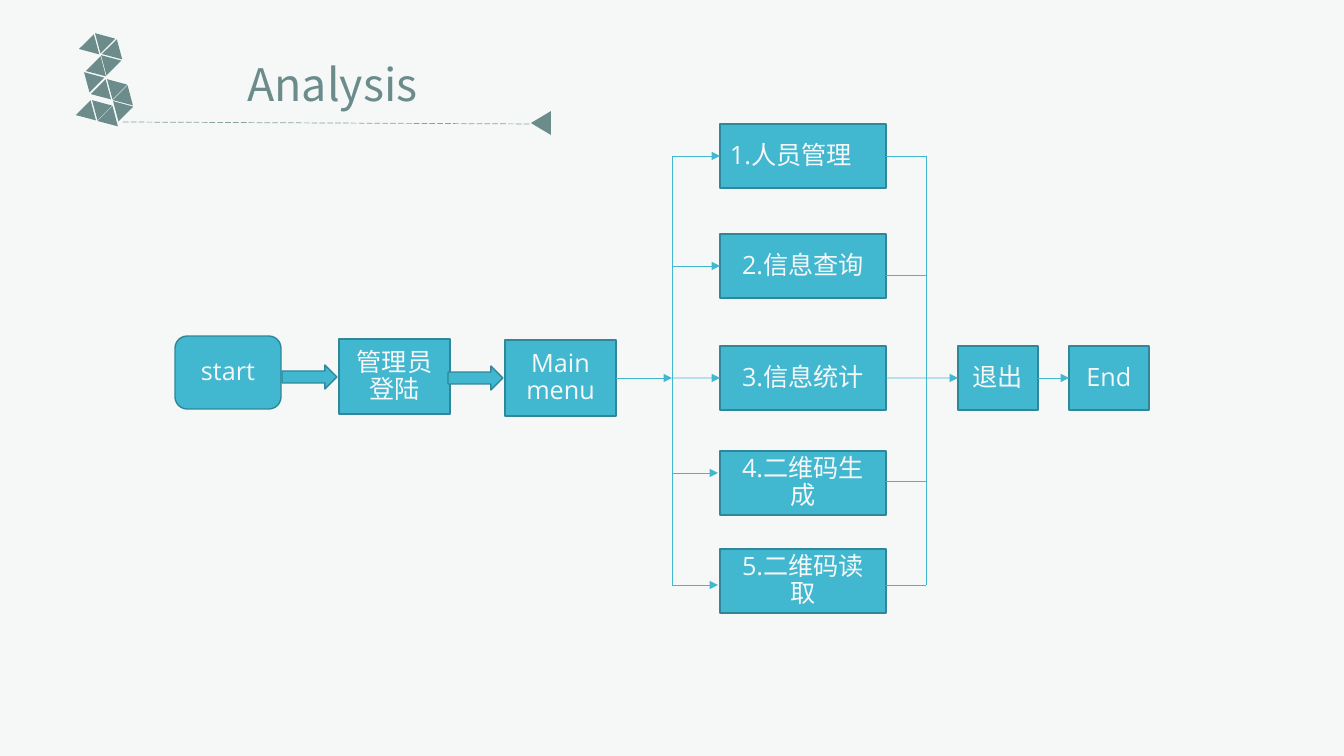
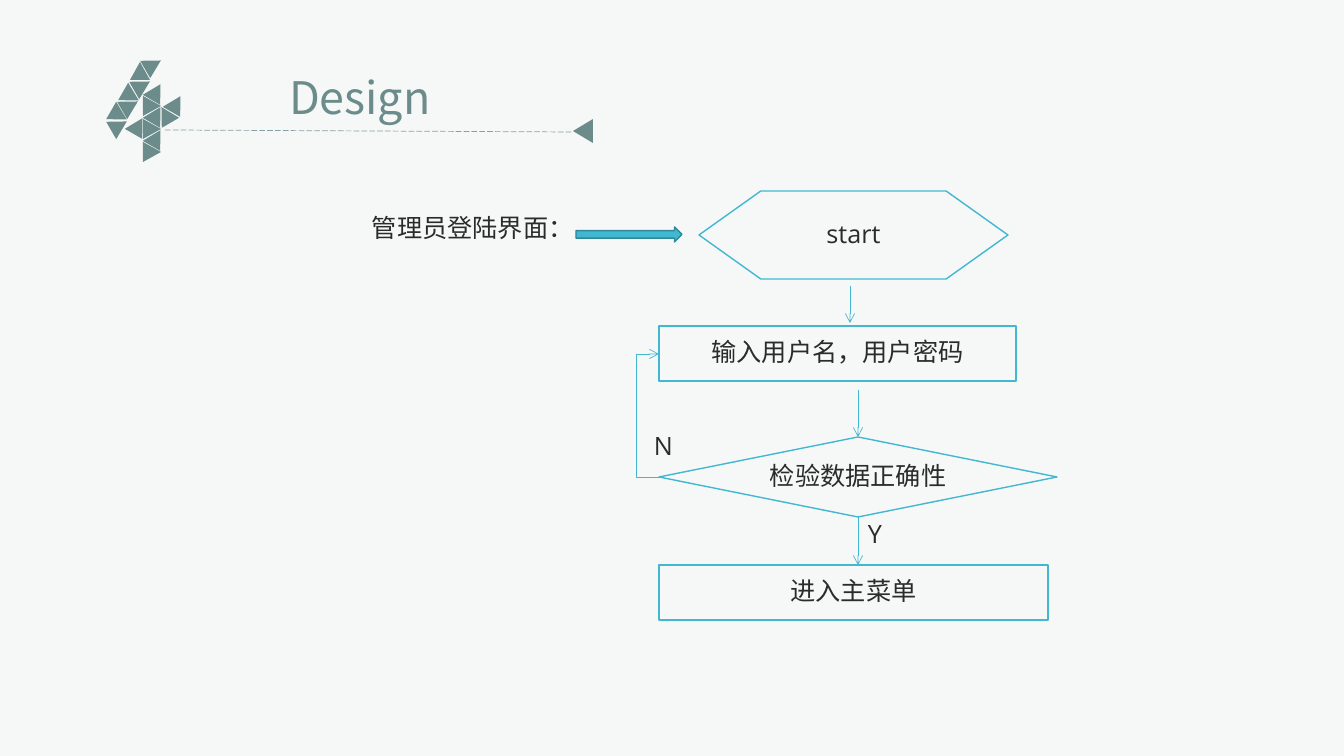
from dataclasses import dataclass

from lxml import etree
from pptx import Presentation
from pptx import util as u
from pptx.dml.color import RGBColor
from pptx.enum import dml, shapes, text
from pptx.oxml import ns

SLIDE_W, SLIDE_H = 1344, 756
SCALE = 12192000 / SLIDE_W
TITLE_ONLY = 5
TOP, LEFT, BOTTOM, RIGHT = range(4)
SHAPE = shapes.MSO_SHAPE
ALIGN = text.PP_ALIGN


@dataclass(frozen=True)
class Theme:
    """Colours, fonts and type sizes of the deck."""
    paper: str = "F6F8F8"
    teal: str = "41B7D0"
    teal_dark: str = "30879A"
    sage: str = "6C8B8B"
    ink: str = "2B2B2B"
    body_font: str = "Open Sans"
    title_font: str = "Noto Sans CJK SC"
    title_size: int = 32
    body_size: int = 18
    spacing: float = 0.9
    border: float = 1
    hairline: float = 0.5


THEME = Theme()

THREE = [
    (81, 34, 15), (96, 32, 75), (104, 39, 15), (102, 54, 75), (89, 61, 135),
    (85, 71, 75), (114, 100, 75), (94, 84, 135), (108, 78, 75),
    (116, 90, 135), (101, 111, 135), (93, 99, 75), (79, 105, 135),
]
FOUR = [
    (130, 62, 0), (132, 77, 60), (121, 87, 120), (120, 97, 60),
    (109, 106, 120), (109, 117, 60), (143, 56, 60), (146, 83, 30),
    (142, 97, 90), (146, 106, 30), (142, 120, 90), (146, 129, 30),
    (142, 143, 90), (166, 95, 30), (156, 106, 330), (128, 117, 30),
]
MODULES = [
    ("1.人员管理", 124, 156, 156, ALIGN.LEFT),
    ("2.信息查询", 234, 266, 275, ALIGN.CENTER),
    ("3.信息统计", 346, 378, 378, ALIGN.CENTER),
    ("4.二维码生成", 451, 473, 481, ALIGN.CENTER),
    ("5.二维码读取", 549, 585, 585, ALIGN.CENTER),
]


def px(*lengths):
    """Turn pixel lengths into EMU."""
    return [u.Emu(round(length * SCALE)) for length in lengths]


def color(value):
    """Turn a hex string into a colour."""
    return RGBColor.from_string(value)


def write(frame, words, ink, align=ALIGN.LEFT, size=THEME.body_size,
          font=THEME.body_font):
    """Put one formatted run into a text frame."""
    paragraph = frame.paragraphs[0]
    paragraph.alignment = align
    paragraph.line_spacing = THEME.spacing
    run = paragraph.add_run()
    run.text = words
    run.font.size = u.Pt(size)
    run.font.color.rgb = color(ink)
    run.font.name = font
    east_asian = etree.SubElement(run.font._element, ns.qn("a:ea"))
    east_asian.set("typeface", THEME.title_font)


def solid(slide, preset, box, fill, border=None):
    """Add a filled preset shape with an optional border."""
    shape = slide.shapes.add_shape(preset, *px(*box))
    shape.shadow.inherit = False
    shape.fill.solid()
    shape.fill.fore_color.rgb = color(fill)
    if border:
        shape.line.color.rgb = color(border)
        shape.line.width = u.Pt(THEME.border)
    else:
        shape.line.fill.background()
    return shape


def node(slide, preset, box, words, filled=True, align=ALIGN.CENTER):
    """Add a flowchart node, either filled or outlined."""
    fill, border, ink = ((THEME.teal, THEME.teal_dark, THEME.paper) if filled
                         else (THEME.paper, THEME.teal, THEME.ink))
    shape = solid(slide, preset, box, fill, border)
    frame = shape.text_frame
    frame.word_wrap = True
    frame.vertical_anchor = text.MSO_ANCHOR.MIDDLE
    write(frame, words, ink, align)
    return shape


def block_arrow(slide, box):
    """Add a thick arrow pointing right."""
    solid(slide, SHAPE.RIGHT_ARROW, box, THEME.teal, THEME.teal_dark)


def label(slide, box, words):
    """Add a plain text label."""
    frame = slide.shapes.add_textbox(*px(*box)).text_frame
    frame.word_wrap = True
    write(frame, words, THEME.ink)


def link(slide, start, end, head=None, begin_at=None, end_at=None,
         ink=THEME.teal, kind=shapes.MSO_CONNECTOR.STRAIGHT):
    """Add a thin connector, joined to the given shape sides."""
    connector = slide.shapes.add_connector(kind, *px(*start, *end))
    connector.line.color.rgb = color(ink)
    connector.line.width = u.Pt(THEME.hairline)
    if head:
        line = connector.line._get_or_add_ln()
        etree.SubElement(line, ns.qn("a:tailEnd")).set("type", head)
    etree.SubElement(connector._element.spPr, ns.qn("a:effectLst"))
    if begin_at:
        connector.begin_connect(*begin_at)
    if end_at:
        connector.end_connect(*end_at)
    return connector


def elbow(slide, start, end, turn_x, head):
    """Add a bent connector whose middle leg stands at turn_x."""
    connector = link(slide, start, end, head,
                     kind=shapes.MSO_CONNECTOR.ELBOW)
    ratio = (turn_x - start[0]) / (end[0] - start[0])
    geometry = connector._element.spPr.find(ns.qn("a:prstGeom"))
    guides = geometry.find(ns.qn("a:avLst"))
    if guides is None:
        guides = etree.SubElement(geometry, ns.qn("a:avLst"))
    guide = etree.SubElement(guides, ns.qn("a:gd"))
    guide.set("name", "adj1")
    guide.set("fmla", f"val {round(ratio * 100000)}")


def triangle(slide, left, top, turn, width, height):
    """Add a turned ornament triangle."""
    shape = solid(slide, SHAPE.ISOSCELES_TRIANGLE,
                  (left, top, width, height), THEME.sage)
    shape.rotation = turn


def header(slide, words, box, align, rule_start, numeral, tile_width):
    """Set the title, its dashed rule and the tiled section numeral."""
    title = slide.shapes.title
    title.left, title.top, title.width, title.height = px(*box)
    frame = title.text_frame
    frame.word_wrap = True
    frame.auto_size = text.MSO_AUTO_SIZE.NONE
    frame.vertical_anchor = text.MSO_ANCHOR.TOP
    write(frame, words, THEME.sage, align, THEME.title_size, THEME.title_font)
    x, y = rule_start
    rule = link(slide, rule_start, (x + 408, y + 2), ink=THEME.sage)
    rule.line.dash_style = dml.MSO_LINE.LONG_DASH
    tint = rule.line._get_or_add_ln().find(".//" + ns.qn("a:srgbClr"))
    etree.SubElement(tint, ns.qn("a:alpha")).set("val", "80000")
    triangle(slide, x + 406, y - 9, 270, 24, 20)
    for left, top, turn in numeral:
        triangle(slide, left, top, turn, tile_width, 18)


def analysis(slide):
    """Build the menu structure slide."""
    header(slide, "Analysis", (99, 58, 467, 65), ALIGN.CENTER,
           (123, 122), THREE, 21)
    axis, fork, merge = 378, 672, 926
    process = SHAPE.FLOWCHART_PROCESS
    node(slide, SHAPE.FLOWCHART_ALTERNATE_PROCESS, (175, 336, 106, 73),
         "start")
    node(slide, process, (339, 339, 111, 75), "管理员登陆")
    menu = node(slide, process, (505, 340, 111, 76), "Main menu")
    leave = node(slide, process, (958, 346, 80, 64), "退出")
    finish = node(slide, process, (1069, 346, 80, 64), "End")
    block_arrow(slide, (282, 365, 55, 24))
    block_arrow(slide, (448, 366, 55, 24))

    first, last = MODULES[0][2], MODULES[-1][2]
    for bus in (fork, merge):
        link(slide, (bus, first), (bus, last))
    for words, top, entry, leaving, align in MODULES:
        module = node(slide, process, (720, top, 166, 64), words, align=align)
        middle = top + 32
        link(slide, (fork, entry), (718, entry), "triangle",
             end_at=(module, LEFT) if entry == middle else None)
        link(slide, (886, leaving), (merge, leaving),
             begin_at=(module, RIGHT) if leaving == middle else None)
    link(slide, (616, axis), (fork, axis), "triangle", begin_at=(menu, RIGHT))
    link(slide, (merge, axis), (958, axis), "triangle", end_at=(leave, LEFT))
    link(slide, (1038, axis), (1069, axis), "triangle",
         begin_at=(leave, RIGHT), end_at=(finish, LEFT))


def design(slide):
    """Build the login flow slide."""
    header(slide, "Design", (279, 71, 167, 65), ALIGN.LEFT,
           (165, 130), FOUR, 20)
    axis = 858
    label(slide, (362, 211, 200, 40), "管理员登陆界面：")
    block_arrow(slide, (576, 227, 106, 15))
    node(slide, SHAPE.FLOWCHART_PREPARATION, (699, 191, 309, 88), "start",
         filled=False)
    node(slide, SHAPE.RECTANGLE, (659, 326, 357, 55), "输入用户名，用户密码",
         filled=False)
    check = node(slide, SHAPE.FLOWCHART_DECISION, (659, 437, 398, 80),
                 "检验数据正确性", filled=False)
    node(slide, SHAPE.RECTANGLE, (659, 565, 389, 55), "进入主菜单",
         filled=False)
    label(slide, (858, 517, 55, 40), "Y")
    label(slide, (644, 429, 55, 40), "N")
    link(slide, (850, 286), (850, 323), "arrow")
    link(slide, (axis, 390), (axis, 437), "arrow", end_at=(check, TOP))
    link(slide, (axis, 517), (axis, 565), "arrow", begin_at=(check, BOTTOM))
    elbow(slide, (661, 477), (659, 354), 636, "arrow")


def main():
    """Build and save the deck."""
    deck = Presentation()
    deck.slide_width, deck.slide_height = px(SLIDE_W, SLIDE_H)
    backdrop = deck.slide_master.background.fill
    backdrop.solid()
    backdrop.fore_color.rgb = color(THEME.paper)
    for build in (analysis, design):
        build(deck.slides.add_slide(deck.slide_layouts[TITLE_ONLY]))
    deck.save("out.pptx")


if __name__ == "__main__":
    main()
